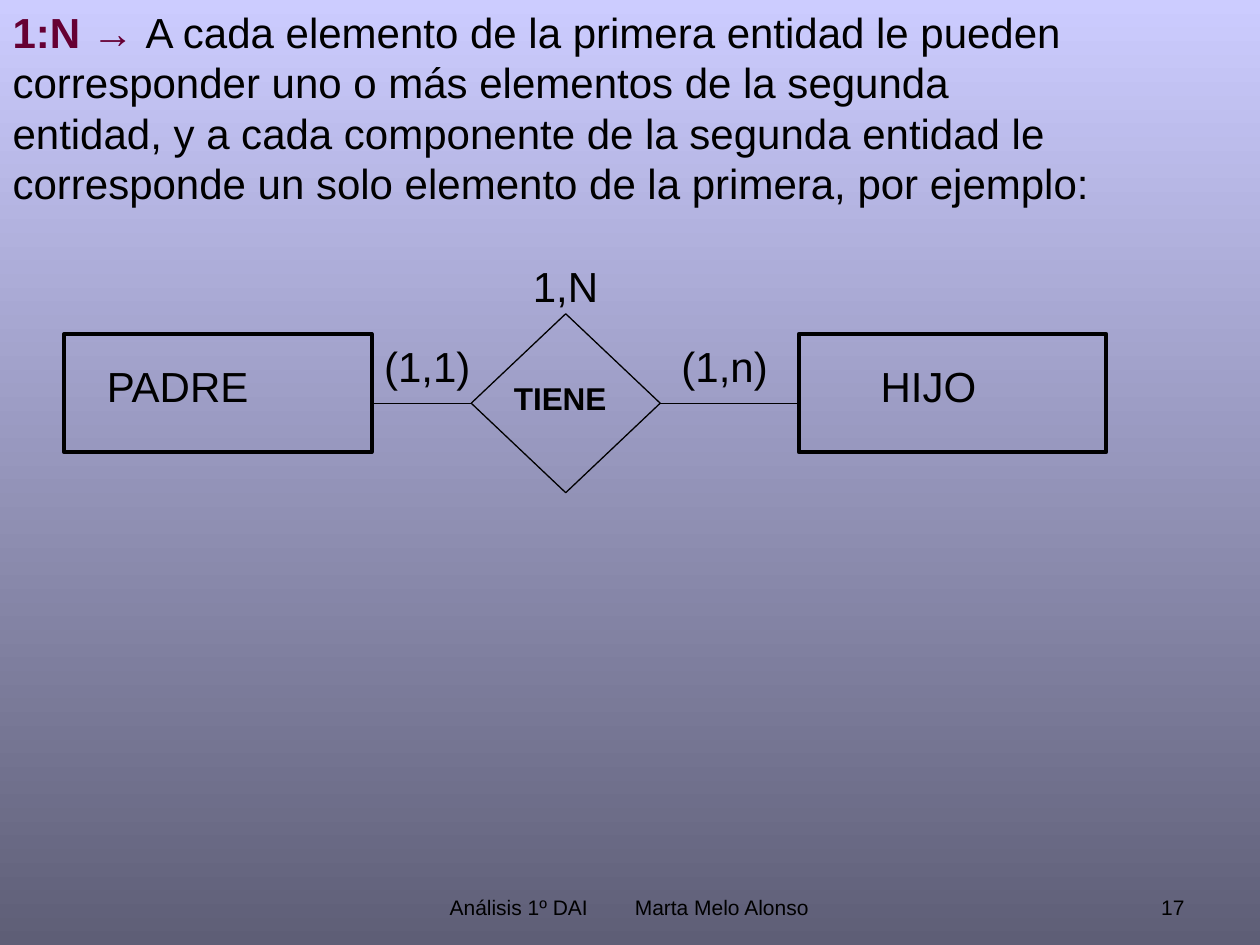
from dataclasses import dataclass

from lxml.etree import SubElement
from pptx import Presentation
from pptx.dml.color import RGBColor
from pptx.enum.shapes import MSO_CONNECTOR as Link, MSO_SHAPE as Kind
from pptx.enum.text import MSO_ANCHOR as Anchor, MSO_AUTO_SIZE as Fit, PP_ALIGN as Align
from pptx.oxml.ns import qn
from pptx.util import Inches, Pt

COLORS = {"ink": "000000", "key": "660033", "top": "CCCCFF", "base": "5E5E76"}
WIDE, HIGH = Inches(10), Inches(7.5)
COLS, ROWS = 100, 75
FACE = "Arial"


@dataclass
class Box:
    """A place on the grid, in columns and rows."""
    col: float
    row: float
    cols: float
    rows: float

    def place(self) -> tuple[int, int, int, int]:
        return x(self.col), y(self.row), x(self.cols), y(self.rows)


@dataclass
class Node:
    kind: Kind
    box: Box
    line: float


@dataclass
class Label:
    text: str
    box: Box
    size: int = 24
    bold: bool = False
    align: Align = Align.LEFT
    anchor: Anchor = Anchor.TOP


def x(cols: float) -> int:
    return round(WIDE * cols / COLS)


def y(rows: float) -> int:
    return round(HIGH * rows / ROWS)


def tint(name: str) -> RGBColor:
    return RGBColor.from_string(COLORS[name])


def style(font, size: int, bold: bool = False, color: str = "ink") -> None:
    font.name, font.size, font.bold = FACE, Pt(size), bold
    font.color.rgb = tint(color)


def paint(slide) -> None:
    fill = slide.background.fill
    fill.gradient()
    fill.gradient_angle = 270
    for stop, name in zip(fill.gradient_stops, ("top", "base")):
        stop.color.rgb = tint(name)


def define(slide, key: str, parts: list[str], box: Box) -> None:
    """Write the definition, led by its key, in the title placeholder."""
    title = slide.shapes.title
    title.left, title.top, title.width, title.height = box.place()
    frame = title.text_frame
    frame.word_wrap, frame.auto_size = True, Fit.NONE
    frame.vertical_anchor = Anchor.TOP
    for i, part in enumerate(parts):
        para = frame.add_paragraph() if i else frame.paragraphs[0]
        para.alignment = Align.LEFT
        style(para.font, 24)
        if not i:
            lead = para.add_run()
            lead.text = key
            style(lead.font, 24, True, "key")
        run = para.add_run()
        run.text = part
        style(run.font, 24)


def draw_node(slide, node: Node) -> None:
    shape = slide.shapes.add_shape(node.kind, *node.box.place())
    shape.shadow.inherit = False
    shape.fill.background()
    shape.line.color.rgb = tint("ink")
    shape.line.width = Pt(node.line)


def draw_link(slide, start: float, end: float, row: float) -> None:
    line = slide.shapes.add_connector(Link.STRAIGHT, x(start), y(row), x(end), y(row))
    line.line.color.rgb = tint("ink")
    line.line.width = Pt(0.75)
    SubElement(line._element.spPr, qn("a:effectLst"))


def write(slide, label: Label):
    frame = slide.shapes.add_textbox(*label.box.place()).text_frame
    frame.word_wrap = True
    frame.vertical_anchor = label.anchor
    para = frame.paragraphs[0]
    para.alignment = label.align
    para.add_run().text = label.text
    style(para.font, label.size, label.bold)
    return para


def add_tab(para, cols: float) -> None:
    props = para._p.get_or_add_pPr()
    tabs = props.makeelement(qn("a:tabLst"))
    SubElement(tabs, qn("a:tab"), pos=str(x(cols)), algn="l")
    props.insert(0, tabs)


def main() -> None:
    deck = Presentation()
    deck.slide_width, deck.slide_height = WIDE, HIGH
    slide = deck.slides.add_slide(deck.slide_layouts[5])
    paint(slide)
    define(slide, "1:N → ", [
        "A cada elemento de la primera entidad le pueden corresponder "
        "uno o más elementos de la segunda",
        "entidad, y a cada componente de la segunda entidad le corresponde "
        "un solo elemento de la primera, por ejemplo:",
    ], Box(0, 0, 100, 17))

    left = Box(5.1, 26.5, 24.4, 9.4)
    right = Box(63.4, left.row, left.cols, left.rows)
    mid = Box(37.4, 24.9, 15, 14.2)
    for node in (Node(Kind.RECTANGLE, left, 2.25),
                 Node(Kind.RECTANGLE, right, 2.25),
                 Node(Kind.DIAMOND, mid, 0.75)):
        draw_node(slide, node)
    axis = mid.row + mid.rows / 2
    for a, b in ((left, mid), (mid, right)):
        draw_link(slide, a.col + a.cols, b.col, axis)

    for label in (
        Label("PADRE", Box(7.5, 28.1, 23.6, 5)),
        Label("HIJO", Box(68.9, 28.1, 22.1, 5)),
        Label("(1,n)", Box(53.1, 26.5, 10.2, 5)),
        Label("(1,1)", Box(29.5, 26.5, 10.2, 5)),
        Label("TIENE", Box(39.8, 29.6, 13.4, 4), 18, True),
        Label("1,N", Box(41.3, 20.2, 10.2, 5)),
        Label("17", Box(71.7, 68.3, 23.3, 5.2), 12, align=Align.RIGHT, anchor=Anchor.BOTTOM),
    ):
        write(slide, label)
    foot = write(slide, Label("Análisis 1º DAI\tMarta Melo Alonso",
                              Box(34.7, 68.3, 31.2, 5.2), 12, anchor=Anchor.BOTTOM))
    add_tab(foot, 14.7)
    deck.save("out.pptx")


if __name__ == "__main__":
    main()
